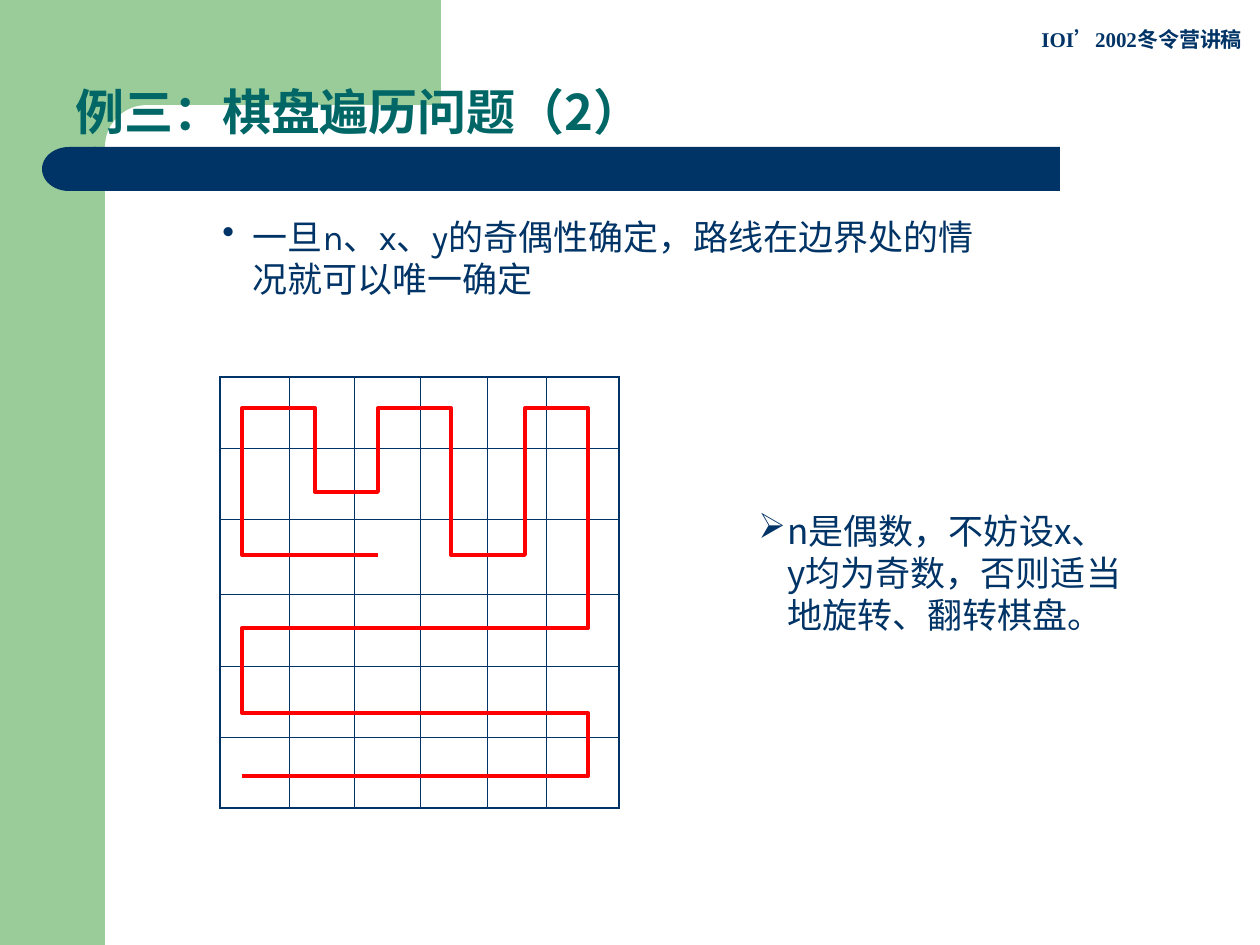
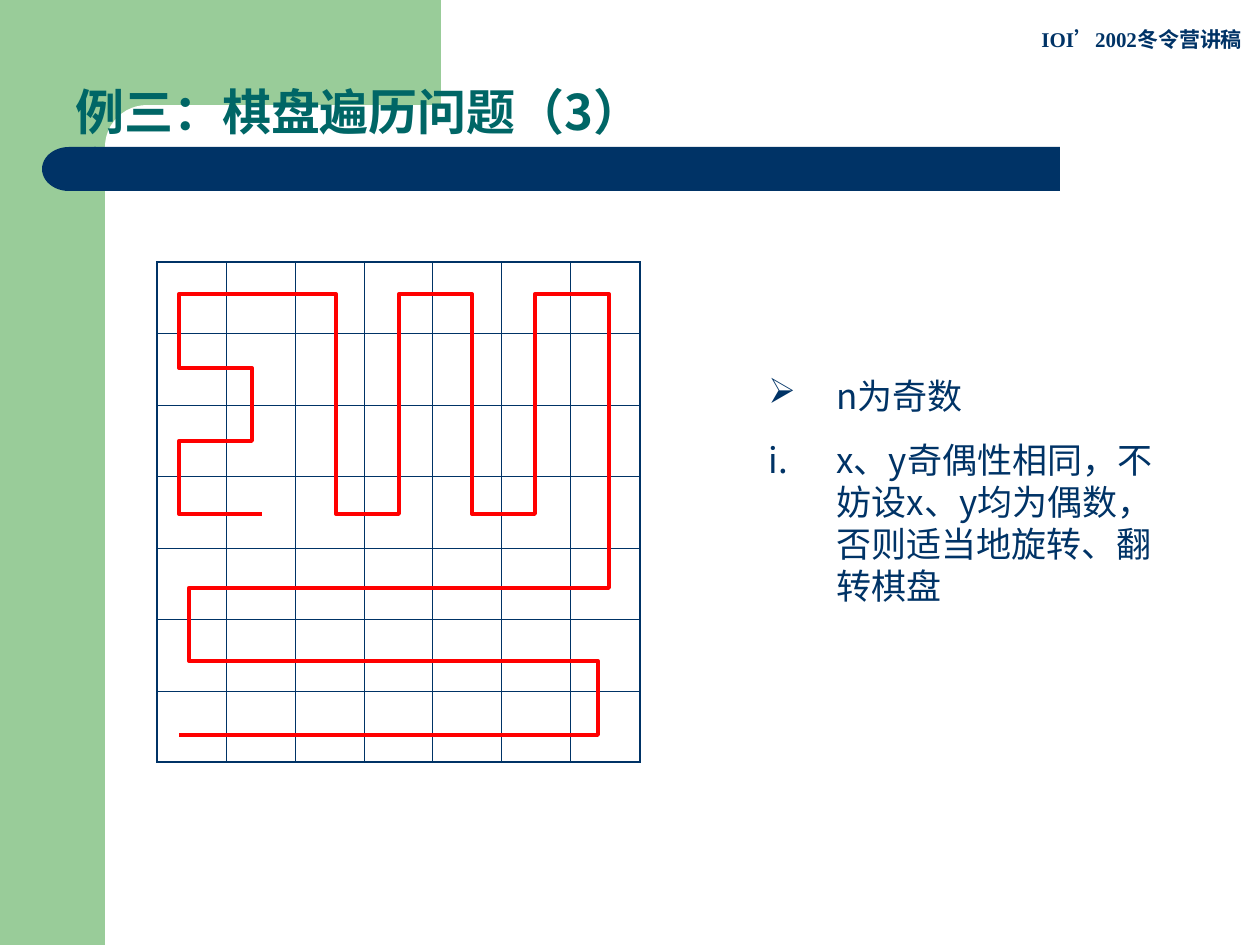
import pptx
import pptx.util
import pptx.dml.color
import pptx.enum.shapes
import pptx.enum.text
import pptx.oxml
import pptx.oxml.ns

GREEN = pptx.dml.color.RGBColor(0x99, 0xCC, 0x99)
TEAL = pptx.dml.color.RGBColor(0x00, 0x66, 0x66)
NAVY = pptx.dml.color.RGBColor(0x00, 0x33, 0x66)
RED = pptx.dml.color.RGBColor(0xFF, 0x00, 0x00)
WHITE = pptx.dml.color.RGBColor(0xFF, 0xFF, 0xFF)
HAN_FONT = "Noto Sans CJK SC"
KINDS = pptx.enum.shapes.MSO_SHAPE
PX = 914400 / 126
MAIN_NS = pptx.oxml.ns.nsdecls("a")

ARROW = '<a:buChar %s char="➢"/>' % MAIN_NS
DOT = '<a:buChar %s char="•"/>' % MAIN_NS
ROMAN = '<a:buAutoNum %s type="romanLcPeriod"/>' % MAIN_NS

EVEN_COLUMNS = [69, 65, 66, 67, 59, 73]
EVEN_ROWS = [71, 71, 75, 72, 71, 71]
EVEN_ROUTE = [
    (158, 178), (22, 178), (22, 31), (95, 31), (95, 115), (158, 115),
    (158, 31), (231, 31), (231, 178), (305, 178), (305, 31), (368, 31),
    (368, 251), (22, 251), (22, 336), (368, 336), (368, 399), (22, 399),
]
ODD_ROUTE = [
    (105, 252), (22, 252), (22, 179), (95, 179), (95, 106), (22, 106),
    (22, 32), (179, 32), (179, 252), (242, 252), (242, 32), (315, 32),
    (315, 252), (378, 252), (378, 32), (452, 32), (452, 326), (32, 326),
    (32, 399), (441, 399), (441, 473), (22, 473),
]


def emu(*lengths):
    return [round(length * PX) for length in lengths]


def even_steps(total, count):
    edges = [round(total * index / count) for index in range(count + 1)]
    return [end - start for start, end in zip(edges, edges[1:])]


def add_block(page, kind, box, color):
    shape = page.shapes.add_shape(kind, *emu(*box))
    shape.shadow.inherit = False
    shape.fill.solid()
    shape.fill.fore_color.rgb = color
    shape.line.fill.background()
    return shape


def add_text(page, box, entries, size, color, font=HAN_FONT, bold=False,
             spacing=1.0, before=0, hang=0):
    frame = page.shapes.add_textbox(*emu(*box)).text_frame
    frame.word_wrap = True
    for index, (text, bullet) in enumerate(entries):
        para = frame.add_paragraph() if index else frame.paragraphs[0]
        para.text = text
        para.line_spacing = spacing
        para.space_before = pptx.util.Pt(before)
        if bullet:
            add_bullet(para, bullet, hang)
        para.font.name = font
        para.font.size = pptx.util.Pt(size)
        para.font.bold = bold
        para.font.color.rgb = color
        defaults = para._p.pPr.find(pptx.oxml.ns.qn("a:defRPr"))
        defaults.append(pptx.oxml.parse_xml(
            '<a:ea %s typeface="%s"/>' % (MAIN_NS, HAN_FONT)))
    return frame


def add_bullet(para, bullet, hang):
    props = para._p.get_or_add_pPr()
    indent = emu(hang)[0]
    props.set("marL", str(indent))
    props.set("indent", str(-indent))
    props.append(pptx.oxml.parse_xml(
        '<a:buClr %s><a:srgbClr val="%s"/></a:buClr>' % (MAIN_NS, NAVY)))
    props.append(pptx.oxml.parse_xml(bullet))


def add_notes_list(page, box, entries, hang, font=HAN_FONT):
    add_text(page, box, entries, 20, NAVY, font,
             spacing=pptx.util.Pt(24), before=12.5, hang=hang)


def add_frame(page, title):
    add_block(page, KINDS.RECTANGLE, (0, 0, 105, 945), GREEN)
    add_block(page, KINDS.RECTANGLE, (94, 0, 347, 147), GREEN)
    panel = add_block(page, KINDS.ROUNDED_RECTANGLE, (105, 105, 703, 84), WHITE)
    panel.adjustments[0] = 0.5
    add_block(page, KINDS.RECTANGLE, (94, 147, 966, 44), NAVY)
    cap = add_block(page, KINDS.FLOWCHART_DELAY, (42, 147, 54, 44), NAVY)
    cap._element.spPr.xfrm.set("flipH", "1")
    add_text(page, (1029, 21, 231, 63), [("IOI’2002冬令营讲稿", None)], 12, NAVY,
             "Times New Roman", True, pptx.util.Pt(14), 7.5)
    heading = add_text(page, (63, 0, 1071, 147), [(title, None)], 28, TEAL,
                       bold=True, spacing=0.9)
    heading.vertical_anchor = pptx.enum.text.MSO_ANCHOR.BOTTOM


def set_border(cell, side, points):
    cell._tc.get_or_add_tcPr().append(pptx.oxml.parse_xml(
        '<a:ln%s %s w="%d"><a:solidFill><a:srgbClr val="%s"/></a:solidFill></a:ln%s>'
        % (side, MAIN_NS, pptx.util.Pt(points), NAVY, side)))


def add_board(page, left, top, columns, rows, route):
    box = emu(left, top, sum(columns), sum(rows))
    grid = page.shapes.add_table(len(rows), len(columns), *box).table
    grid.first_row = False
    grid.horz_banding = False
    for column, width in zip(grid.columns, emu(*columns)):
        column.width = width
    for row, height in zip(grid.rows, emu(*rows)):
        row.height = height
    for y in range(len(rows)):
        for x in range(len(columns)):
            cell = grid.cell(y, x)
            outer = {"L": x == 0, "R": x == len(columns) - 1,
                     "T": y == 0, "B": y == len(rows) - 1}
            for side, is_outer in outer.items():
                set_border(cell, side, 1.08 if is_outer else 0.45)
            cell.fill.background()
    builder = page.shapes.build_freeform(*route[0], scale=PX)
    builder.add_line_segments(route[1:], close=False)
    tour = builder.convert_to_shape(*emu(left, top))
    tour.shadow.inherit = False
    tour.fill.background()
    tour.line.color.rgb = RED
    tour.line.width = pptx.util.Pt(2.25)


def add_even_page(page):
    add_frame(page, "例三：棋盘遍历问题（2）")
    add_notes_list(page, (746, 503, 388, 203),
                   [("n是偶数，不妨设x、y均为奇数，否则适当地旋转、翻转棋盘。", ARROW)], 29)
    add_board(page, 220, 377, EVEN_COLUMNS, EVEN_ROWS, EVEN_ROUTE)
    add_notes_list(page, (210, 209, 777, 97),
                   [("一旦n、x、y的奇偶性确定，路线在边界处的情况就可以唯一确定", DOT)],
                   30, "Karla")


def add_odd_page(page):
    add_frame(page, "例三：棋盘遍历问题（3）")
    add_board(page, 157, 262, even_steps(483, 7), even_steps(500, 7), ODD_ROUTE)
    add_notes_list(page, (756, 368, 410, 244),
                   [("n为奇数", ARROW),
                    ("x、y奇偶性相同，不妨设x、y均为偶数，否则适当地旋转、翻转棋盘", ROMAN)], 68)


def main():
    deck = pptx.Presentation()
    deck.slide_width, deck.slide_height = emu(1260, 945)
    for add_page in (add_even_page, add_odd_page):
        add_page(deck.slides.add_slide(deck.slide_layouts[6]))
    deck.save("out.pptx")


if __name__ == "__main__":
    main()
